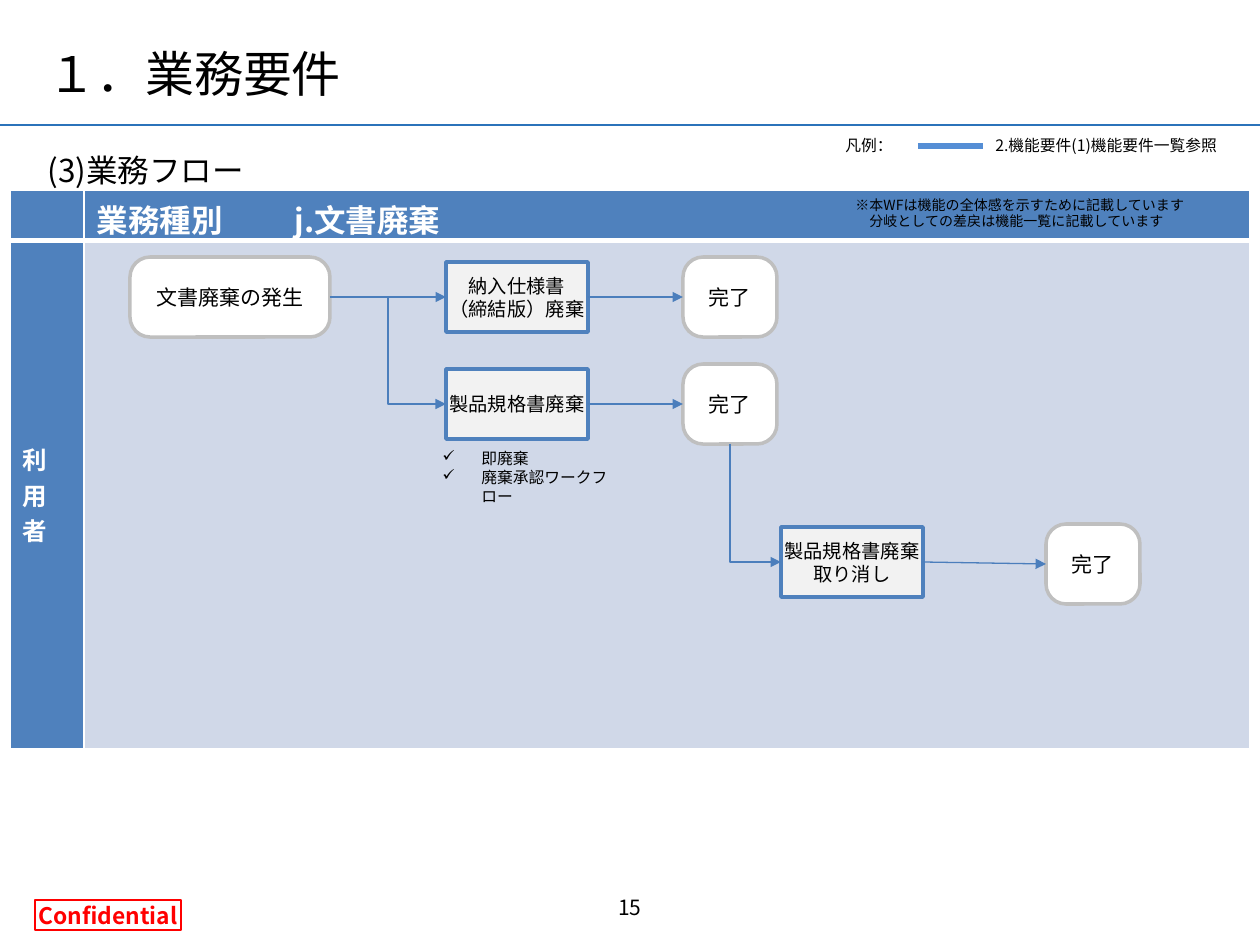
import pptx
import pptx.dml.color
import pptx.enum.shapes
import pptx.enum.text
import pptx.oxml.ns
import pptx.util
from lxml import etree

SHAPE = pptx.enum.shapes.MSO_SHAPE
LINE = pptx.enum.shapes.MSO_CONNECTOR
ANCHOR = pptx.enum.text.MSO_ANCHOR
ALIGN = pptx.enum.text.PP_ALIGN
qn = pptx.oxml.ns.qn
TOP, LEFT, BOTTOM, RIGHT = range(4)

FONT = "Noto Sans CJK JP"
BLACK, WHITE, RED = "000000", "FFFFFF", "FF0000"
BLUE, ARROW, PALE = "4F81BD", "4B7EBC", "D0D8E8"


def px(length):
    return pptx.util.Emu(round(length * 914400 / 126))


def color(hex_text):
    return pptx.dml.color.RGBColor.from_string(hex_text)


def add_xml(parent, tag, **attributes):
    return etree.SubElement(parent, qn(tag), attributes)


class SlideBuilder:
    def __init__(self, page):
        self.page = page

    def add_spans(self, para, text, size, ink=BLACK, bold=False):
        """Add the text as runs, with a line break at each newline."""
        for index, line in enumerate(text.split("\n")):
            if index:
                para.add_line_break()
                add_xml(para._p[-1], "a:rPr", sz=str(size * 100))
            span = para.add_run()
            span.text = line
            span.font.size = pptx.util.Pt(size)
            span.font.bold = bold
            span.font.color.rgb = color(ink)
            span.font.name = FONT
            add_xml(span.font._element, "a:ea", typeface=FONT)

    def text(self, left, top, width, height, lines, size, anchor=ANCHOR.TOP,
             align=ALIGN.LEFT, grow=False, bullet=None, indents=()):
        box = self.page.shapes.add_textbox(px(left), px(top), px(width), px(height))
        frame = box.text_frame
        frame.word_wrap = True
        frame.vertical_anchor = anchor
        if grow:
            frame.auto_size = pptx.enum.text.MSO_AUTO_SIZE.SHAPE_TO_FIT_TEXT
        for index, line in enumerate(lines):
            para = frame.add_paragraph() if index else frame.paragraphs[0]
            para.alignment = align
            properties = para._p.get_or_add_pPr()
            if indents:
                properties.set("marL", str(px(indents[index])))
            if bullet:
                properties.set("indent", str(-px(indents[index])))
                add_xml(properties, "a:buChar", char=bullet)
            self.add_spans(para, line, size)

    def shape(self, kind, left, top, width, height, text, size, fill=None,
              outline=BLUE, weight=2, ink=BLACK, bold=False, wrap=True, inset=None):
        box = self.page.shapes.add_shape(kind, px(left), px(top), px(width), px(height))
        box.shadow.inherit = False
        if fill:
            box.fill.solid()
            box.fill.fore_color.rgb = color(fill)
        else:
            box.fill.background()
        box.line.color.rgb = color(outline)
        box.line.width = pptx.util.Pt(weight)
        frame = box.text_frame
        frame.word_wrap = wrap
        frame.vertical_anchor = ANCHOR.MIDDLE
        if inset is not None:
            frame.margin_left = frame.margin_right = px(inset)
            frame.margin_top = frame.margin_bottom = px(inset)
        frame.paragraphs[0].alignment = ALIGN.CENTER
        self.add_spans(frame.paragraphs[0], text, size, ink, bold)
        return box

    def task(self, left, middle, text):
        return self.shape(SHAPE.RECTANGLE, left, middle - 35, 142, 70, text, 11,
                          fill="F2F2F2", wrap=False)

    def terminal(self, left, middle, text="完了", width=94):
        box = self.shape(SHAPE.ROUNDED_RECTANGLE, left, middle - 40, width, 80, text, 12,
                         fill=WHITE, outline="BFBFBF")
        box.adjustments[0] = 0.25
        return box

    def line(self, x1, y1, x2, y2, ink, weight, kind=LINE.STRAIGHT):
        line = self.page.shapes.add_connector(kind, px(x1), px(y1), px(x2), px(y2))
        line.line.color.rgb = color(ink)
        line.line.width = pptx.util.Pt(weight)
        add_xml(line._element.spPr, "a:effectLst")
        return line

    def arrow(self, source, target, kind=LINE.STRAIGHT, side=RIGHT):
        arrow = self.line(0, 0, 0, 0, ARROW, 0.75, kind)
        arrow.begin_connect(source, side)
        arrow.end_connect(target, LEFT)
        add_xml(arrow._element.spPr.find(qn("a:ln")), "a:tailEnd", type="triangle")
        return arrow

    def corner_arrow(self, source, target):
        """Go down from the source, then right into the target."""
        arrow = self.arrow(source, target, LINE.ELBOW, BOTTOM)
        x1, y1, x2, y2 = arrow.begin_x, arrow.begin_y, arrow.end_x, arrow.end_y
        across, down = x2 - x1, y2 - y1
        arrow.left = (x1 + x2 - down) // 2
        arrow.top = (y1 + y2 - across) // 2
        arrow.width, arrow.height = down, across
        properties = arrow._element.spPr
        frame = properties.find(qn("a:xfrm"))
        frame.set("rot", str(270 * 60000))
        frame.set("flipH", "1")
        properties.find(qn("a:prstGeom")).set("prst", "bentConnector2")

    def cell(self, cell, fill, top, bottom):
        """Fill the cell and draw white borders of the given weights."""
        properties = cell._tc.get_or_add_tcPr()
        for side, weight in zip("LRTB", (1, 1, top, bottom)):
            border = add_xml(properties, f"a:ln{side}", w=str(weight * 12700))
            add_xml(add_xml(border, "a:solidFill"), "a:srgbClr", val=WHITE)
        cell.fill.solid()
        cell.fill.fore_color.rgb = color(fill)

    def lane_table(self, left, top, columns, rows):
        frame = self.page.shapes.add_table(
            len(rows), len(columns), px(left), px(top), px(sum(columns)), px(sum(rows)))
        table = frame.table
        table.horz_banding = False
        for column, width in zip(table.columns, columns):
            column.width = px(width)
        for row, height in zip(table.rows, rows):
            row.height = px(height)
        for index in range(len(columns)):
            self.cell(table.cell(0, index), BLUE, 1, 3)
            self.cell(table.cell(1, index), PALE if index else BLUE, 3, 1)
        heading = table.cell(0, 1).text_frame.paragraphs[0]
        tabs = add_xml(heading._p.get_or_add_pPr(), "a:tabLst")
        add_xml(tabs, "a:tab", pos=str(px(198)), algn="l")
        self.add_spans(heading, "業務種別\tj.文書廃棄", 18, WHITE, True)
        lane = table.cell(1, 0)
        lane.vertical_anchor = ANCHOR.MIDDLE
        lane._tc.tcPr.set("vert", "wordArtVertRtl")
        self.add_spans(lane.text_frame.paragraphs[0], "利用者", 14, WHITE, True)


def main():
    deck = pptx.Presentation()
    deck.slide_width, deck.slide_height = px(1260), px(945)
    slide = SlideBuilder(deck.slides.add_slide(deck.slide_layouts[6]))

    slide.line(0, 125, 1260, 125, "2B73BA", 0.75)
    slide.shape(SHAPE.RECTANGLE, 35, 900, 146, 30, "Confidential", 13, outline=RED,
                weight=0.75, ink=RED, bold=True, wrap=False, inset=5)
    slide.text(35, 37, 1058, 72, ["１．業務要件"], 28, ANCHOR.BOTTOM, grow=True)
    slide.lane_table(10, 190, (74, 1166), (48, 508))

    first, second, third = 297, 404, 562
    start = slide.terminal(130, first, "文書廃棄の発生", 200)
    spec_task = slide.task(446, first, "納入仕様書\n（締結版）廃棄")
    spec_done = slide.terminal(683, first)
    standard_task = slide.task(446, second, "製品規格書廃棄")
    standard_done = slide.terminal(683, second)
    cancel_task = slide.task(781, third, "製品規格書廃棄\n取り消し")
    cancel_done = slide.terminal(1046, third + 2)

    for source, target in ((start, spec_task), (spec_task, spec_done),
                           (standard_task, standard_done), (cancel_task, cancel_done)):
        slide.arrow(source, target)
    slide.arrow(start, standard_task, LINE.ELBOW)
    slide.corner_arrow(standard_done, cancel_task)
    slide.text(430, 445, 200, 65, ["即廃棄", "廃棄承認ワークフロー"], 9,
               ANCHOR.MIDDLE, bullet="✓", indents=(39, 39))

    slide.text(833, 130, 86, 31, ["凡例："], 9, grow=True)
    slide.line(918, 146, 983, 146, "558ED5", 3)
    slide.text(983, 130, 267, 31, ["2.機能要件(1)機能要件一覧参照"], 9, grow=True)
    slide.text(843, 190, 427, 47, ["※本WFは機能の全体感を示すために記載しています",
                                   "分岐としての差戻は機能一覧に記載しています"], 8,
               grow=True, indents=(0, 14))
    slide.text(35, 145, 1191, 50, ["(3)業務フロー"], 18)
    slide.text(483, 876, 294, 50, ["15"], 12, ANCHOR.BOTTOM, ALIGN.CENTER)
    deck.save("out.pptx")


if __name__ == "__main__":
    main()
